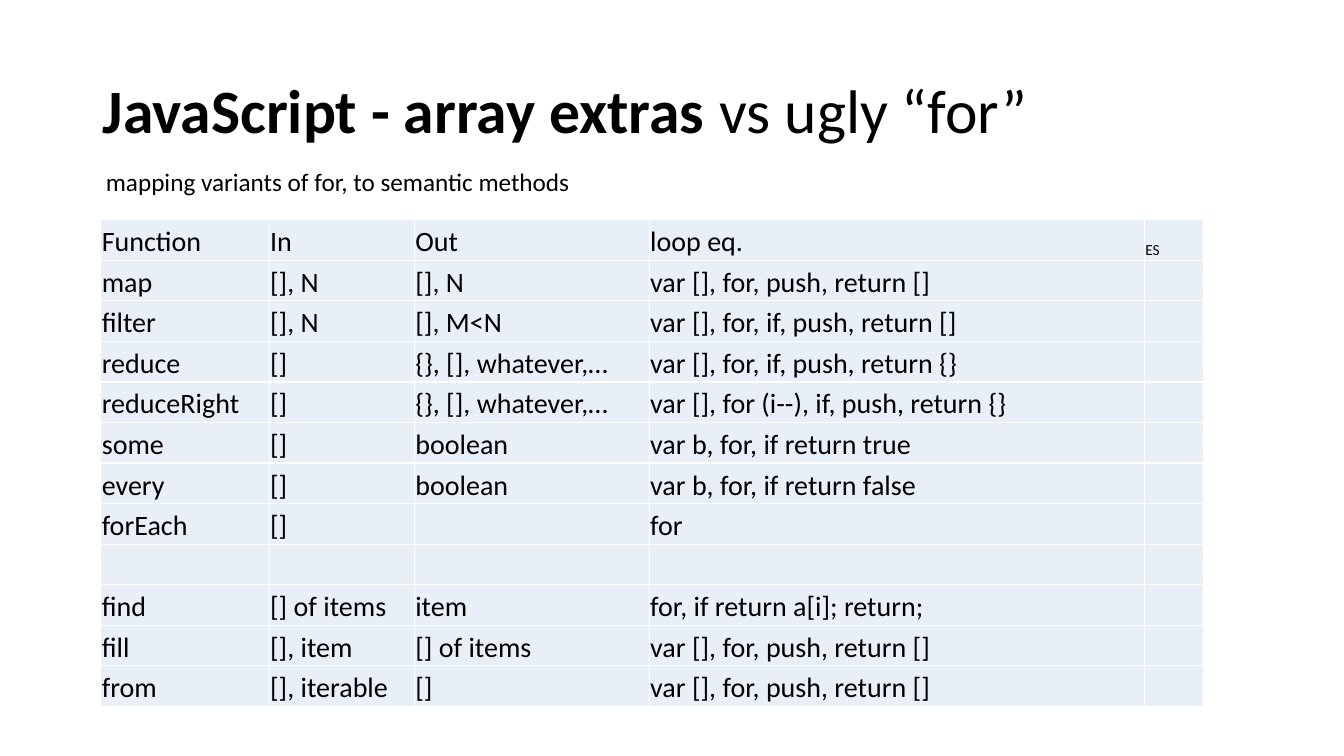
from lxml.etree import SubElement
from pptx import Presentation
from pptx.dml.color import RGBColor
from pptx.enum.text import MSO_ANCHOR as Anchor
from pptx.oxml.ns import qn
from pptx.util import Pt

# Content
TITLE = [("JavaScript - array extras ", True), ("vs ugly “for”", False)]
SUBTITLE = [("mapping variants of for, to semantic methods", False)]
HEADER = ("Function", "In", "Out", "loop eq.", "ES")
METHODS = [
    ("map", "[], N", "[], N", "var [], for, push, return []"),
    ("filter", "[], N", "[], M<N", "var [], for, if, push, return []"),
    ("reduce", "[]", "{}, [], whatever,…", "var [], for, if, push, return {}"),
    ("reduceRight", "[]", "{}, [], whatever,…", "var [], for (i--), if, push, return {}"),
    ("some", "[]", "boolean", "var b, for, if return true"),
    ("every", "[]", "boolean", "var b, for, if return false"),
    ("forEach", "[]", "", "for"),
    (),
    ("find", "[] of items", "item", "for, if return a[i]; return;"),
    ("fill", "[], item", "[] of items", "var [], for, push, return []"),
    ("from", "[], iterable", "[]", "var [], for, push, return []"),
]

# Layout in px, 100 to the inch
PX = 9144
PAGE_SIZE = (1333, 750)
TITLE_BOX = (92, 40, 1150, 145)
SUBTITLE_BOX = (100, 160, 521, 39)
TABLE_LEFT, TABLE_TOP, TABLE_HEIGHT = 100, 218, 483
COLUMN_WIDTHS = (167, 144, 233, 491, 59)

FONT = "Calibri"
BLACK = RGBColor(0x00, 0x00, 0x00)
WHITE = RGBColor(0xFF, 0xFF, 0xFF)
PALE_BLUE = RGBColor(0xE9, 0xEF, 0xF7)


def write(frame, spans, size, anchor=Anchor.TOP, margins=(5, 5), spacing=None, wrap=None):
    """Put (text, bold) spans in the first paragraph of a text frame."""
    frame.vertical_anchor = anchor
    frame.word_wrap = wrap
    frame.margin_left = frame.margin_right = margins[0] * PX
    frame.margin_top = frame.margin_bottom = margins[1] * PX
    para = frame.paragraphs[0]
    para.line_spacing = spacing
    for text, bold in spans:
        span = para.add_run()
        span.text = text
        span.font.name, span.font.size, span.font.bold = FONT, Pt(size), bold
        span.font.color.rgb = BLACK


def add_text(page, bounds, spans, size, **layout):
    box = page.shapes.add_textbox(*(length * PX for length in bounds))
    write(box.text_frame, spans, size, **layout)


def style_cell(cell):
    cell.vertical_anchor = Anchor.BOTTOM
    cell.margin_left = cell.margin_right = PX
    cell.margin_top = cell.margin_bottom = PX
    properties = cell._tc.get_or_add_tcPr()
    for side in ("a:lnL", "a:lnR", "a:lnT", "a:lnB"):
        line = SubElement(properties, qn(side), w=str(Pt(1)))
        paint = SubElement(line, qn("a:solidFill"))
        SubElement(paint, qn("a:srgbClr"), val=str(WHITE))
    cell.fill.solid()
    cell.fill.fore_color.rgb = PALE_BLUE


def add_methods_table(page):
    rows = [HEADER] + METHODS
    frame = page.shapes.add_table(
        len(rows), len(HEADER), TABLE_LEFT * PX, TABLE_TOP * PX,
        sum(COLUMN_WIDTHS) * PX, TABLE_HEIGHT * PX)
    table = frame.table
    table.first_row = table.horz_banding = False
    for column, width in zip(table.columns, COLUMN_WIDTHS):
        column.width = width * PX
    for row in table.rows:
        row.height = TABLE_HEIGHT * PX // len(rows)
    for cell in table.iter_cells():
        style_cell(cell)
    for r, texts in enumerate(rows):
        for c, text in enumerate(texts):
            if text:
                span = table.cell(r, c).text_frame.paragraphs[0].add_run()
                span.text = text
                span.font.name = FONT
                span.font.size = Pt(11 if text == "ES" else 20)
                span.font.color.rgb = BLACK


def main():
    deck = Presentation()
    deck.slide_width, deck.slide_height = (length * PX for length in PAGE_SIZE)
    page = deck.slides.add_slide(deck.slide_layouts[6])

    add_text(page, TITLE_BOX, TITLE, 44, anchor=Anchor.MIDDLE,
             margins=(10, 5), spacing=0.9, wrap=True)
    add_methods_table(page)
    add_text(page, SUBTITLE_BOX, SUBTITLE, 18, wrap=False)

    deck.save("out.pptx")


if __name__ == "__main__":
    main()
